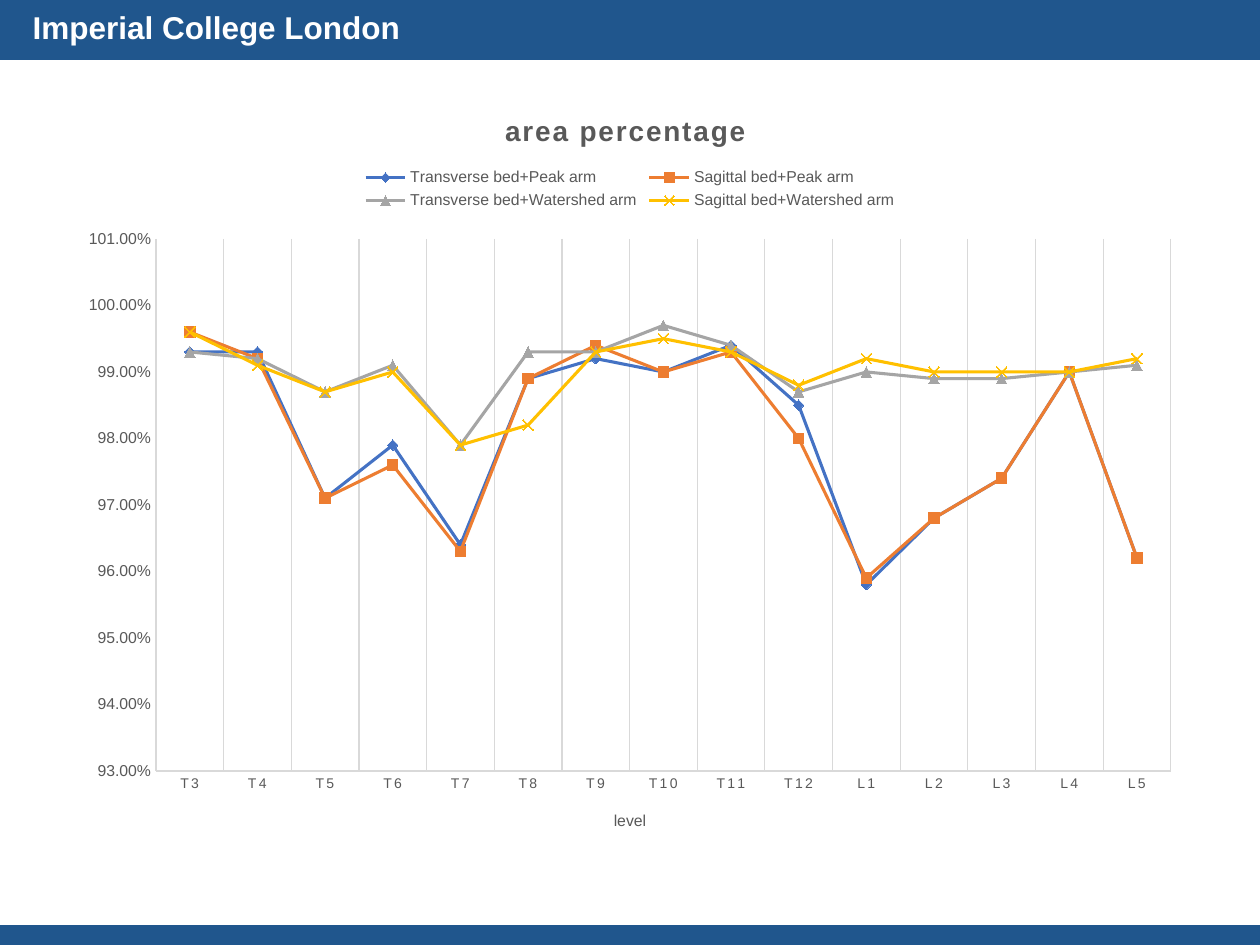
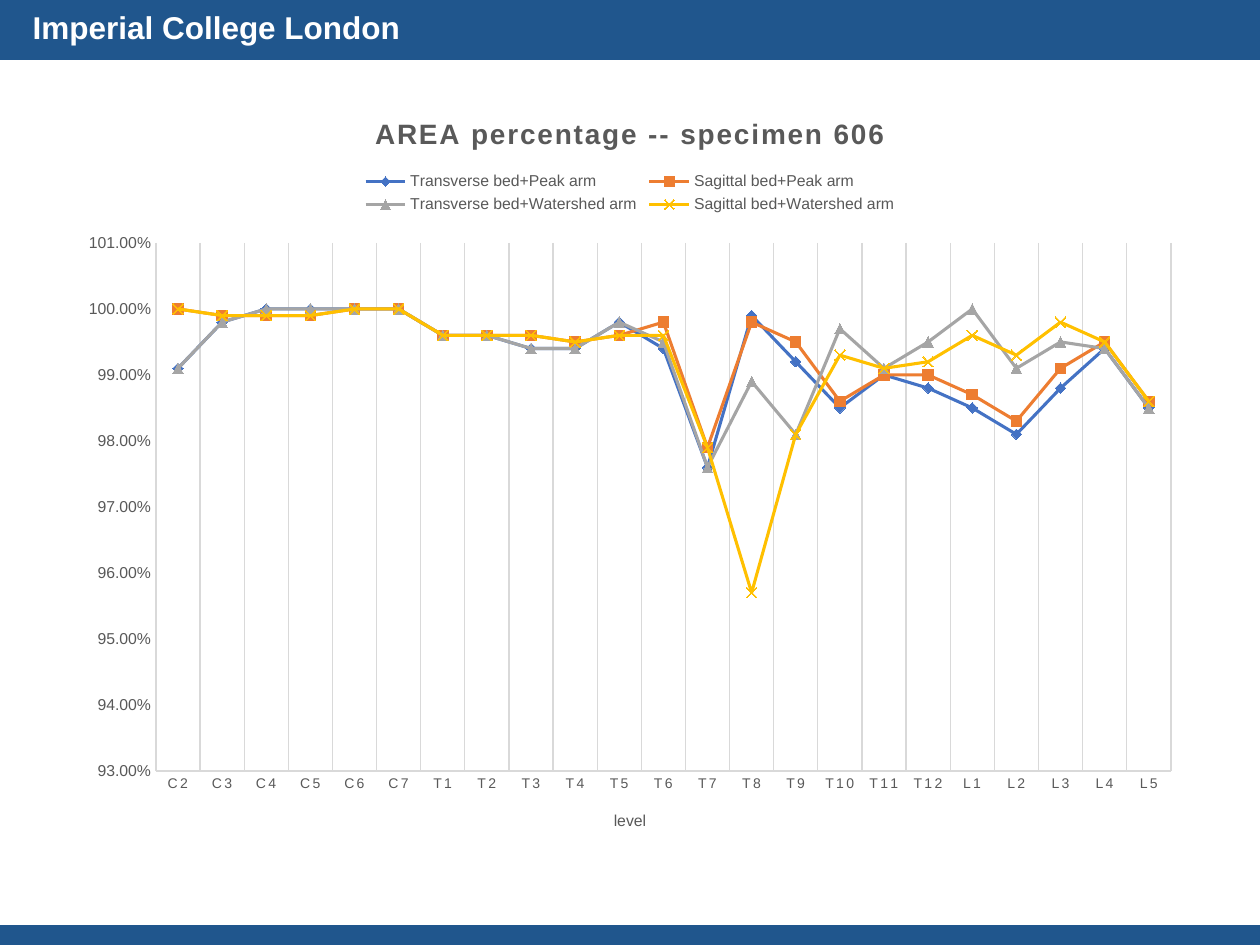
"""Build two slides that compare area percentage by vertebral level."""
from lxml import etree
from pptx import Presentation
from pptx.chart.data import CategoryChartData
from pptx.dml.color import RGBColor
from pptx.enum.chart import XL_CHART_TYPE as ChartType
from pptx.enum.chart import XL_LEGEND_POSITION as LegendPosition
from pptx.enum.chart import XL_MARKER_STYLE as Marker
from pptx.enum.chart import XL_TICK_MARK as Tick
from pptx.enum.shapes import MSO_SHAPE as Shape
from pptx.enum.text import MSO_ANCHOR as Anchor
from pptx.enum.text import MSO_AUTO_SIZE as AutoSize
from pptx.enum.text import PP_ALIGN as Align
from pptx.oxml.ns import qn
from pptx.util import Inches, Pt

PX = 914400 / 126
FONT = "Arial"
NAVY = RGBColor(0x20, 0x56, 0x8D)
WHITE = RGBColor(0xFF, 0xFF, 0xFF)
GREY_TEXT = RGBColor(0x59, 0x59, 0x59)
GRID = RGBColor(0xD9, 0xD9, 0xD9)
BLUE = RGBColor(0x44, 0x72, 0xC4)
ORANGE = RGBColor(0xED, 0x7D, 0x31)
GREY = RGBColor(0xA5, 0xA5, 0xA5)
YELLOW = RGBColor(0xFF, 0xC0, 0x00)

CHART_BOX = (67, 88, 1126, 767)
SERIES_STYLES = [
    ("Transverse bed+Peak arm", BLUE, Marker.DIAMOND),
    ("Sagittal bed+Peak arm", ORANGE, Marker.SQUARE),
    ("Transverse bed+Watershed arm", GREY, Marker.TRIANGLE),
    ("Sagittal bed+Watershed arm", YELLOW, Marker.X),
]


def levels(letter, first, last):
    return [f"{letter}{number}" for number in range(first, last + 1)]


LUMBAR = levels("L", 1, 5)
CHARTS = [
    {
        "title": "area percentage",
        "title_at": (433, 20),
        "plot_top": 239,
        "levels": levels("T", 3, 12) + LUMBAR,
        "percentages": [
            [99.3, 99.3, 97.1, 97.9, 96.4, 98.9, 99.2, 99.0,
             99.4, 98.5, 95.8, 96.8, 97.4, 99.0, 96.2],
            [99.6, 99.2, 97.1, 97.6, 96.3, 98.9, 99.4, 99.0,
             99.3, 98.0, 95.9, 96.8, 97.4, 99.0, 96.2],
            [99.3, 99.2, 98.7, 99.1, 97.9, 99.3, 99.3, 99.7,
             99.4, 98.7, 99.0, 98.9, 98.9, 99.0, 99.1],
            [99.6, 99.1, 98.7, 99.0, 97.9, 98.2, 99.3, 99.5,
             99.3, 98.8, 99.2, 99.0, 99.0, 99.0, 99.2],
        ],
    },
    {
        "title": "AREA percentage -- specimen 606",
        "title_at": (303, 23),
        "plot_top": 243,
        "levels": levels("C", 2, 7) + levels("T", 1, 12) + LUMBAR,
        "percentages": [
            [99.1, 99.8, 100, 100, 100, 100, 99.6, 99.6,
             99.4, 99.4, 99.8, 99.4, 97.6, 99.9, 99.2, 98.5,
             99.0, 98.8, 98.5, 98.1, 98.8, 99.4, 98.5],
            [100, 99.9, 99.9, 99.9, 100, 100, 99.6, 99.6,
             99.6, 99.5, 99.6, 99.8, 97.9, 99.8, 99.5, 98.6,
             99.0, 99.0, 98.7, 98.3, 99.1, 99.5, 98.6],
            [99.1, 99.8, 100, 100, 100, 100, 99.6, 99.6,
             99.4, 99.4, 99.8, 99.5, 97.6, 98.9, 98.1, 99.7,
             99.1, 99.5, 100, 99.1, 99.5, 99.4, 98.5],
            [100, 99.9, 99.9, 99.9, 100, 100, 99.6, 99.6,
             99.6, 99.5, 99.6, 99.6, 97.9, 95.7, 98.1, 99.3,
             99.1, 99.2, 99.6, 99.3, 99.8, 99.5, 98.6],
        ],
    },
]


def style_font(font, size, color, bold=False):
    font.name = FONT
    font.size = Pt(size)
    font.color.rgb = color
    font.bold = bold


def style_line(line, color, width):
    line.color.rgb = color
    line.width = Pt(width)


def place(parent, index, position, size=(), target=None):
    """Give a chart part a manual layout, in px from the chart's corner."""
    for layout in parent.findall(qn("c:layout")):
        parent.remove(layout)
    layout = etree.Element(qn("c:layout"))
    parent.insert(index, layout)
    manual = etree.SubElement(layout, qn("c:manualLayout"))
    settings = [("layoutTarget", target)] if target else []
    settings += [("xMode", "edge"), ("yMode", "edge")]
    extents = CHART_BOX[2:] * 2
    lengths = (*position, *size)
    settings += [(name, f"{length / extent:.4f}")
                 for name, length, extent in zip("xywh", lengths, extents)]
    for name, value in settings:
        etree.SubElement(manual, qn(f"c:{name}")).set("val", value)


class SlideBuilder:
    """Hold the deck, its style and the current slide."""

    def __init__(self):
        self.deck = Presentation()
        self.deck.slide_width, self.deck.slide_height = Inches(10), Inches(7.5)
        self.page = None

    def emu(self, *lengths):
        return [round(length * PX) for length in lengths]

    def start_page(self):
        self.page = self.deck.slides.add_slide(self.deck.slide_layouts[5])
        self.band(-5, 65)
        self.band(925, 20)
        self.heading("Imperial College London")

    def band(self, top, height):
        band = self.page.shapes.add_shape(
            Shape.RECTANGLE, *self.emu(0, top, 1260, height))
        band.shadow.inherit = False
        band.fill.solid()
        band.fill.fore_color.rgb = NAVY
        band.line.fill.background()

    def heading(self, text):
        box = self.page.shapes.title
        box.element.getparent().append(box.element)
        box.left, box.top, box.width, box.height = self.emu(18, 2, 397, 50)
        frame = box.text_frame
        frame.word_wrap = False
        frame.auto_size = AutoSize.NONE
        frame.vertical_anchor = Anchor.MIDDLE
        para = frame.paragraphs[0]
        para.alignment = Align.CENTER
        span = para.add_run()
        span.text = text
        style_font(span.font, 18, WHITE, True)

    def chart_text(self, frame, text, size, bold=False):
        span = frame.paragraphs[0].add_run()
        span.text = text
        style_font(span.font, size, GREY_TEXT, bold)

    def line_chart(self, content):
        data = CategoryChartData(number_format="0.00%")
        data.categories = content["levels"]
        for (name, _, _), values in zip(SERIES_STYLES, content["percentages"]):
            data.add_series(name, [round(value / 100, 3) for value in values])
        chart = self.page.shapes.add_chart(
            ChartType.LINE_MARKERS, *self.emu(*CHART_BOX), data).chart
        style_font(chart.font, 10, GREY_TEXT)
        chart.plots[0].vary_by_categories = False
        self.chart_text(chart.chart_title.text_frame, content["title"], 16, True)
        chart.chart_title.include_text_in_layout = False
        chart.has_legend = True
        chart.legend.position = LegendPosition.TOP
        chart.legend.include_in_layout = False
        style_font(chart.legend.font, 9, GREY_TEXT)
        self.style_series(chart)
        self.style_axes(chart)
        self.arrange(chart, content)

    def style_series(self, chart):
        for series, (_, color, symbol) in zip(chart.series, SERIES_STYLES):
            series.smooth = False
            style_line(series.format.line, color, 1.75)
            series.marker.style = symbol
            series.marker.size = 6
            style_line(series.marker.format.line, color, 0.75)
            fill = series.marker.format.fill
            if symbol == Marker.X:
                fill.background()
            else:
                fill.solid()
                fill.fore_color.rgb = color

    def style_axes(self, chart):
        level_axis, percent_axis = chart.category_axis, chart.value_axis
        for axis, size in ((level_axis, 8), (percent_axis, 9)):
            axis.major_tick_mark = axis.minor_tick_mark = Tick.NONE
            style_font(axis.tick_labels.font, size, GREY_TEXT)
            style_line(axis.format.line, GRID, 0.75)
        level_axis.has_major_gridlines = True
        style_line(level_axis.major_gridlines.format.line, GRID, 0.75)
        self.chart_text(level_axis.axis_title.text_frame, "level", 9)
        percent_axis.has_major_gridlines = False
        percent_axis.minimum_scale = 0.93
        percent_axis.maximum_scale = 1.01
        percent_axis.major_unit = 0.01
        percent_axis.tick_labels.number_format = "0.00%"
        percent_axis.tick_labels.number_format_is_linked = False

    def arrange(self, chart, content):
        find = chart.element.xpath
        for properties in find("c:chart/c:title//a:rPr"
                               " | .//c:catAx/c:txPr//a:defRPr"):
            properties.set("spc", "120")
        left, top = CHART_BOX[:2]
        plot_top = content["plot_top"]
        place(find("c:chart/c:title")[0], 1, content["title_at"])
        place(find(".//c:catAx/c:title")[0], 1, (611 - left, 807 - top))
        place(find(".//c:legend")[0], 1,
              (358 - left, plot_top - 75 - top), (544, 50))
        place(find(".//c:plotArea")[0], 0, (156 - left, plot_top - top),
              (1015, 771 - plot_top), "inner")


def main():
    builder = SlideBuilder()
    for content in CHARTS:
        builder.start_page()
        builder.line_chart(content)
    builder.deck.save("out.pptx")


if __name__ == "__main__":
    main()
